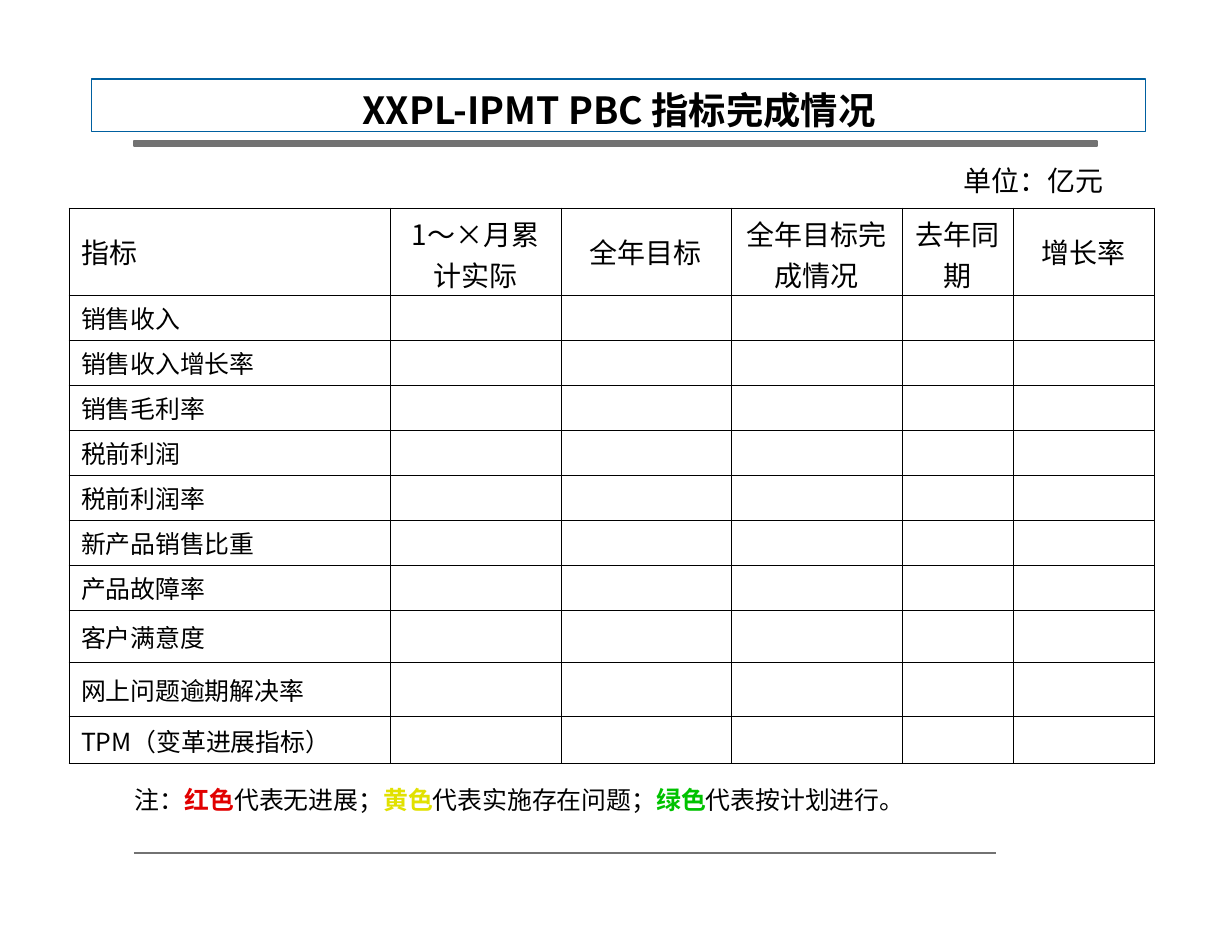
import pptx
import pptx.dml.color
import pptx.enum.shapes
import pptx.enum.text
import pptx.oxml
import pptx.oxml.ns
import pptx.util

PX = 914400 // 112
SANS = "Noto Sans CJK SC"
ALIGN = pptx.enum.text.PP_ALIGN
ANCHOR = pptx.enum.text.MSO_ANCHOR
SHAPE = pptx.enum.shapes.MSO_SHAPE
HEADERS = ["指标", "1～×月累计实际", "全年目标", "全年目标完成情况", "去年同期", "增长率"]
INDICATORS = ["销售收入", "销售收入增长率", "销售毛利率", "税前利润", "税前利润率",
              "新产品销售比重", "产品故障率", "客户满意度", "网上问题逾期解决率",
              "TPM（变革进展指标）"]
COLUMN_WIDTHS = [321, 171, 170, 171, 111, 141]
ROW_HEIGHTS = [87] + [45] * 7 + [53, 54, 47]
NOTE = [("注：", None), ("红色", "E10000"), ("代表无进展；", None),
        ("黄色", "E1E100"), ("代表实施存在问题；", None),
        ("绿色", "00C200"), ("代表按计划进行。", None)]


def emu(*lengths):
    """Turn px lengths into EMU."""
    return [length * PX for length in lengths]


def color(value):
    """Return the RGB colour of a hex string."""
    return pptx.dml.color.RGBColor.from_string(value)


def style_span(span, size, font=SANS, fill="000000", bold=False):
    """Format one run, for Latin and East Asian letters alike."""
    span.font.size = pptx.util.Pt(size)
    span.font.name = font
    span.font.bold = bold
    span.font.color.rgb = color(fill)
    east_asian = pptx.oxml.parse_xml(
        f'<a:ea {pptx.oxml.ns.nsdecls("a")} typeface="{SANS}"/>')
    span.font._element.find(pptx.oxml.ns.qn("a:latin")).addnext(east_asian)


def set_margins(target, across, down):
    """Set the inner margins of a text frame or a cell."""
    target.margin_left, target.margin_right = emu(across, across)
    target.margin_top, target.margin_bottom = emu(down, down)


def add_bar(page, kind, box, line, fill=None):
    """Add an outlined shape without shadow."""
    shape = page.shapes.add_shape(kind, *emu(*box))
    shape.shadow.inherit = False
    shape.line.color.rgb = color(line)
    shape.line.width = pptx.util.Pt(0.71)
    if fill:
        shape.fill.solid()
        shape.fill.fore_color.rgb = color(fill)
    else:
        shape.fill.background()
    return shape


def add_title(page, box):
    """Place the framed title and the thick rule under it."""
    left, top, width, height = box
    rule = add_bar(page, SHAPE.ROUNDED_RECTANGLE,
                   (left + 42, top + height + 9, width - 91, 5), "727272", "727272")
    rule.adjustments[0] = 0
    frame = add_bar(page, SHAPE.RECTANGLE, box, "0060A0").text_frame
    frame.text = "XXPL-IPMT PBC 指标完成情况"
    frame.vertical_anchor = ANCHOR.BOTTOM
    set_margins(frame, 0, 0)
    para = frame.paragraphs[0]
    para.alignment = ALIGN.CENTER
    style_span(para.runs[0], 24, bold=True)


def add_unit(page, box):
    """Place the unit of the figures."""
    frame = page.shapes.add_textbox(*emu(*box)).text_frame
    frame.word_wrap = True
    frame.text = "单位：亿元"
    set_margins(frame, 12, 7)
    para = frame.paragraphs[0]
    para.space_before = pptx.util.Pt(11.2)
    style_span(para.runs[0], 18, "Arial")


def add_borders(cell):
    """Draw thin black borders round a cell."""
    properties = cell._tc.get_or_add_tcPr()
    for index, side in enumerate(("lnL", "lnR", "lnT", "lnB")):
        properties.insert(index, pptx.oxml.parse_xml(
            f'<a:{side} {pptx.oxml.ns.nsdecls("a")} w="5715"><a:solidFill>'
            f'<a:srgbClr val="000000"/></a:solidFill></a:{side}>'))


def add_indicators(page, left, top):
    """Place the table of indicators."""
    box = (left, top, sum(COLUMN_WIDTHS), sum(ROW_HEIGHTS))
    table = page.shapes.add_table(len(ROW_HEIGHTS), len(COLUMN_WIDTHS), *emu(*box)).table
    table.first_row = table.horz_banding = False
    for column, width in zip(table.columns, COLUMN_WIDTHS):
        column.width = width * PX
    for row, height in zip(table.rows, ROW_HEIGHTS):
        row.height = height * PX
    rows = [HEADERS] + [[name] + [""] * (len(HEADERS) - 1) for name in INDICATORS]
    for row_index, texts in enumerate(rows):
        for column_index, text in enumerate(texts):
            cell = table.cell(row_index, column_index)
            cell.fill.solid()
            cell.fill.fore_color.rgb = color("FFFFFF")
            cell.vertical_anchor = ANCHOR.MIDDLE
            set_margins(cell, 12, 5)
            add_borders(cell)
            cell.text = text
            para = cell.text_frame.paragraphs[0]
            para.alignment = ALIGN.CENTER if column_index else ALIGN.LEFT
            para.font.size = pptx.util.Pt(16)
            for span in para.runs:
                style_span(span, 16 if row_index else 18)


def add_note(page, box):
    """Place the colour legend and the rule at its foot."""
    left, top, width, height = box
    frame = page.shapes.add_textbox(*emu(*box)).text_frame
    frame.word_wrap = True
    set_margins(frame, 0, 0)
    for text, fill in NOTE:
        span = frame.paragraphs[0].add_run()
        span.text = text
        style_span(span, 16, fill=fill or "000000", bold=bool(fill))
    foot = top + height - 2
    rule = page.shapes.add_connector(
        pptx.enum.shapes.MSO_CONNECTOR.STRAIGHT, *emu(left - 1, foot, left + 861, foot))
    rule.line.color.rgb = color("727272")
    rule.line.width = pptx.util.Pt(0.71)
    rule._element.spPr.append(pptx.oxml.parse_xml(
        f'<a:effectLst {pptx.oxml.ns.nsdecls("a")}/>'))


def main():
    """Build the slide and save it."""
    deck = pptx.Presentation()
    deck.slide_width, deck.slide_height = emu(1232, 952)
    page = deck.slides.add_slide(deck.slide_layouts[6])
    add_unit(page, (951, 157, 214, 46))
    add_indicators(page, 69, 208)
    add_title(page, (92, 79, 1054, 53))
    add_note(page, (135, 785, 1027, 70))
    deck.save("out.pptx")


if __name__ == "__main__":
    main()
